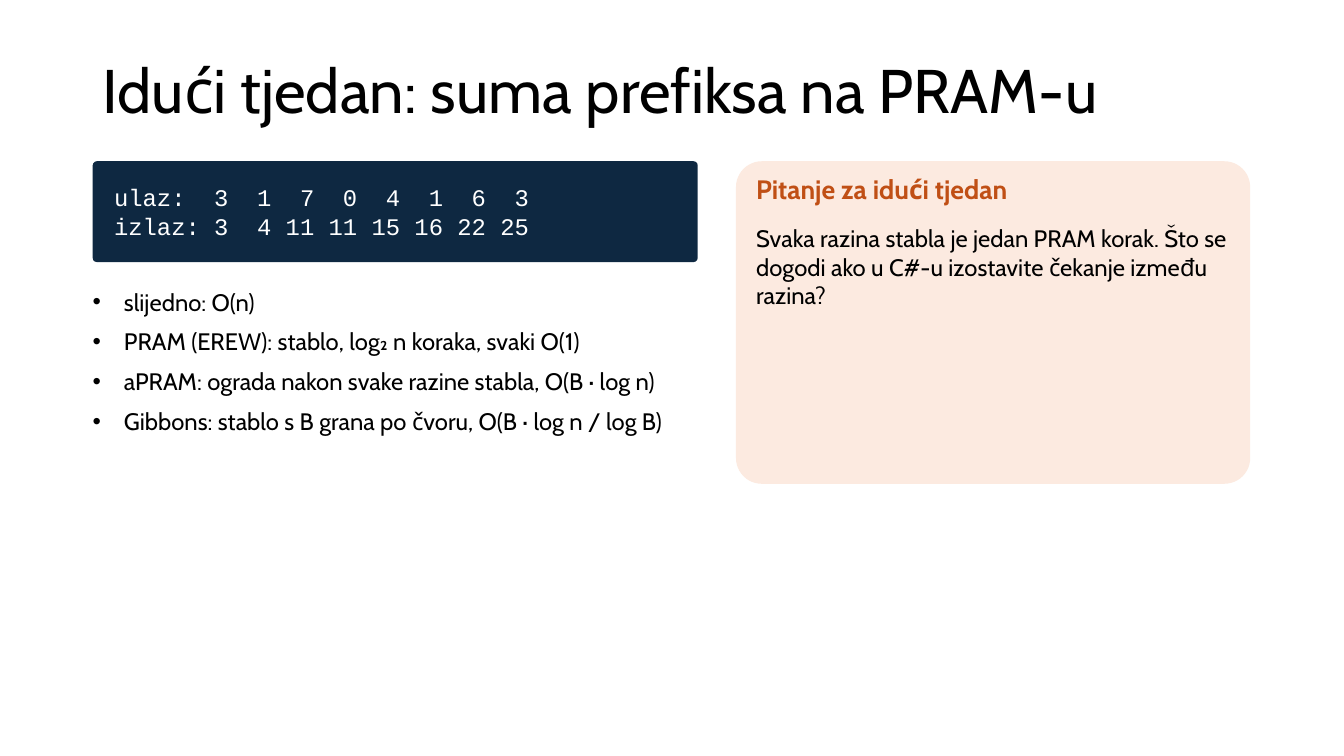
from dataclasses import dataclass

from lxml.etree import SubElement
from pptx import Presentation
from pptx.dml.color import RGBColor
from pptx.enum.shapes import MSO_SHAPE as Shape
from pptx.enum.text import MSO_ANCHOR as Anchor, MSO_AUTO_SIZE as AutoSize, PP_ALIGN as Align
from pptx.oxml.ns import qn
from pptx.util import Emu, Pt

EMU_PER_PX = 9144
BODY_FONT = "Cabin"
CODE_FONT = "Courier New"
BLACK, WHITE = "000000", "FFFFFF"
NAVY, PEACH, RUST = "0E2841", "FCEAE0", "C04F15"


@dataclass(frozen=True)
class Box:
    left: int
    top: int
    width: int
    height: int


@dataclass(frozen=True)
class Style:
    size: int
    color: str = BLACK
    font: str = BODY_FONT
    bold: bool = False
    space_after: int = 0
    line_spacing: float = 1.0
    bullet_indent: int = 0


@dataclass(frozen=True)
class Panel:
    box: Box
    fill: str
    corner: float


@dataclass(frozen=True)
class TextBlock:
    box: Box
    style: Style
    lines: tuple[str, ...]


TITLE = TextBlock(
    Box(92, 40, 1150, 106),
    Style(44, line_spacing=0.9),
    ("Idući tjedan: suma prefiksa na PRAM-u",),
)
CODE_PANEL = Panel(Box(92, 160, 600, 100), NAVY, 0.04)
CODE_STYLE = Style(17, WHITE, CODE_FONT)
CODE_LINES = (
    "ulaz:  3  1  7  0  4  1  6  3",
    "izlaz: 3  4 11 11 15 16 22 25",
)
QUESTION_PANEL = Panel(Box(730, 160, 510, 320), PEACH, 0.08)
TEXT_BLOCKS = (
    TextBlock(
        Box(92, 285, 600, 360),
        Style(17, space_after=8, bullet_indent=31),
        (
            "slijedno: O(n)",
            "PRAM (EREW): stablo, log₂ n koraka, svaki O(1)",
            "aPRAM: ograda nakon svake razine stabla, O(B · log n)",
            "Gibbons: stablo s B grana po čvoru, O(B · log n / log B)",
        ),
    ),
    TextBlock(
        Box(750, 172, 470, 45),
        Style(19, RUST, bold=True),
        ("Pitanje za idući tjedan",),
    ),
    TextBlock(
        Box(750, 222, 470, 250),
        Style(17, space_after=4),
        (
            "Svaka razina stabla je jedan PRAM korak. Što se dogodi ako "
            "u C#-u izostavite čekanje između razina?",
        ),
    ),
)


def px(length: int) -> Emu:
    return Emu(length * EMU_PER_PX)


def frame(box: Box) -> tuple[Emu, Emu, Emu, Emu]:
    return px(box.left), px(box.top), px(box.width), px(box.height)


def set_color(color_format, color: str) -> None:
    color_format.rgb = RGBColor.from_string(color)


def set_margins(text_frame, left: int, top: int, right: int, bottom: int) -> None:
    text_frame.margin_left, text_frame.margin_top = px(left), px(top)
    text_frame.margin_right, text_frame.margin_bottom = px(right), px(bottom)


def add_bullet(paragraph, indent: int) -> None:
    properties = paragraph._p.get_or_add_pPr()
    properties.set("marL", str(px(indent)))
    properties.set("indent", str(-px(indent)))
    SubElement(properties, qn("a:buFont"), typeface="Arial")
    SubElement(properties, qn("a:buChar"), char="•")


def write_lines(text_frame, lines: tuple[str, ...], style: Style) -> None:
    text_frame.word_wrap = True
    for index, line in enumerate(lines):
        paragraph = text_frame.add_paragraph() if index else text_frame.paragraphs[0]
        if style.bullet_indent:
            add_bullet(paragraph, style.bullet_indent)
        paragraph.alignment = Align.LEFT
        paragraph.line_spacing = style.line_spacing
        paragraph.space_after = Pt(style.space_after)
        run = paragraph.add_run()
        run.text = line
        run.font.name = style.font
        run.font.size = Pt(style.size)
        run.font.bold = style.bold
        set_color(run.font.color, style.color)


def fill_title(slide, block: TextBlock) -> None:
    title = slide.shapes.title
    title.left, title.top, title.width, title.height = frame(block.box)
    title.text_frame.auto_size = AutoSize.NONE
    title.text_frame.vertical_anchor = Anchor.MIDDLE
    write_lines(title.text_frame, block.lines, block.style)


def add_panel(slide, panel: Panel):
    shape = slide.shapes.add_shape(Shape.ROUNDED_RECTANGLE, *frame(panel.box))
    shape.adjustments[0] = panel.corner
    shape.shadow.inherit = False
    shape.fill.solid()
    set_color(shape.fill.fore_color, panel.fill)
    shape.line.fill.background()
    return shape


def add_code(slide, panel: Panel, lines: tuple[str, ...], style: Style) -> None:
    text_frame = add_panel(slide, panel).text_frame
    text_frame.vertical_anchor = Anchor.MIDDLE
    set_margins(text_frame, 20, 5, 10, 5)
    write_lines(text_frame, lines, style)


def add_text(slide, block: TextBlock) -> None:
    text_frame = slide.shapes.add_textbox(*frame(block.box)).text_frame
    text_frame.auto_size = AutoSize.SHAPE_TO_FIT_TEXT
    set_margins(text_frame, 0, 0, 0, 0)
    write_lines(text_frame, block.lines, block.style)


def main() -> None:
    presentation = Presentation()
    presentation.slide_width, presentation.slide_height = px(1333), px(750)
    title_only = presentation.slide_layouts.get_by_name("Title Only")
    slide = presentation.slides.add_slide(title_only)
    fill_title(slide, TITLE)
    add_code(slide, CODE_PANEL, CODE_LINES, CODE_STYLE)
    add_panel(slide, QUESTION_PANEL)
    for block in TEXT_BLOCKS:
        add_text(slide, block)
    presentation.save("out.pptx")


if __name__ == "__main__":
    main()
